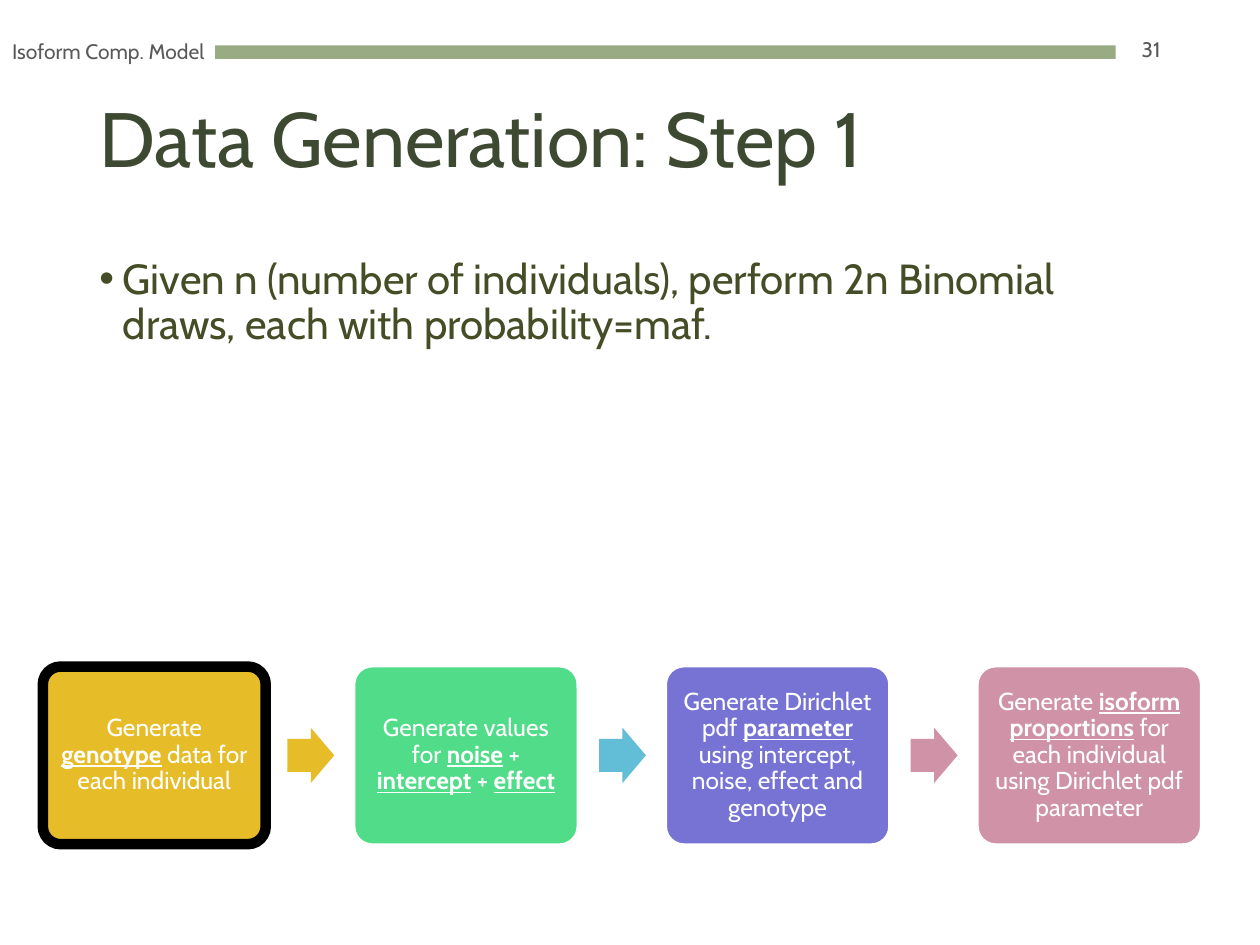
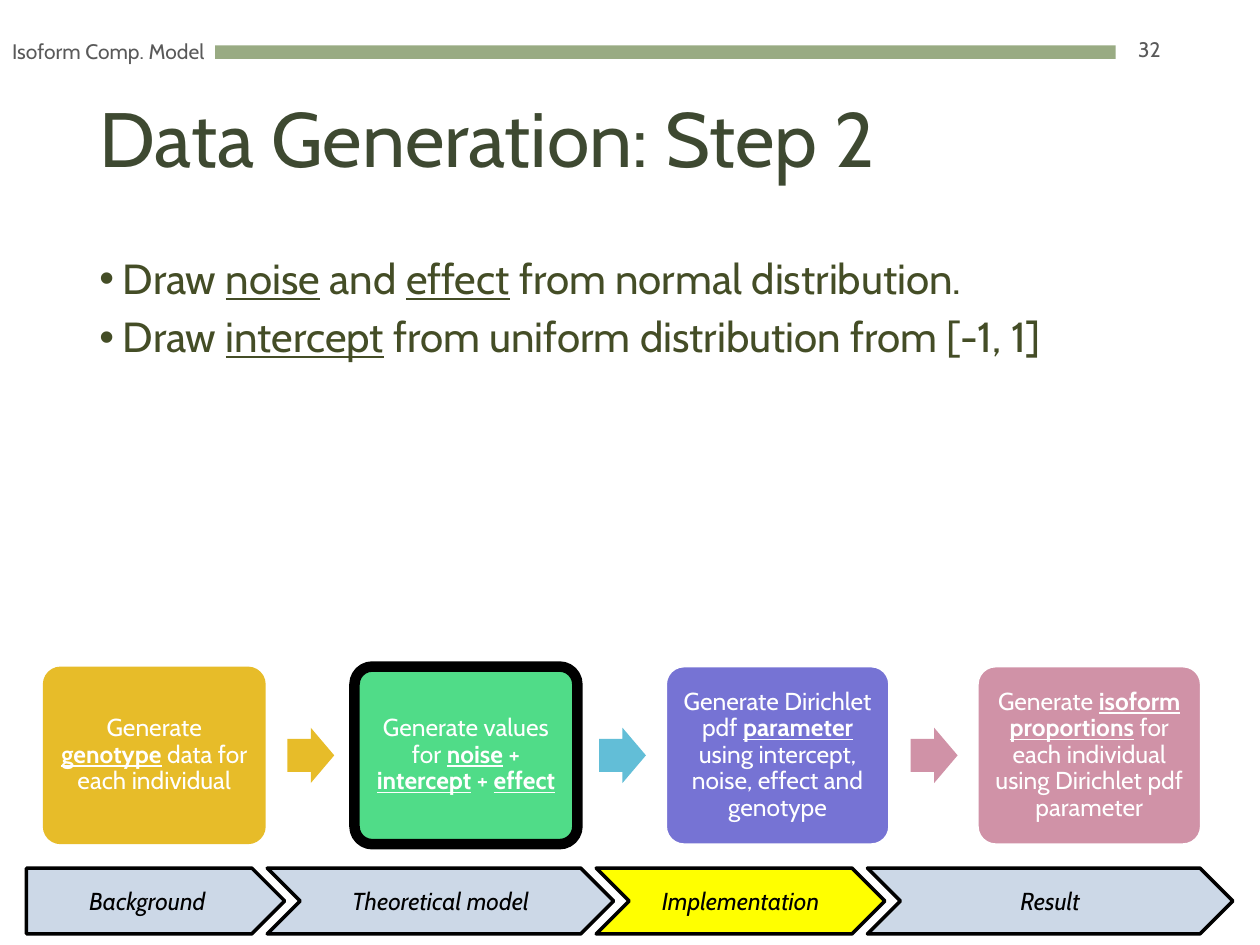
from dataclasses import dataclass
from typing import Optional

from lxml import etree
from pptx import Presentation
from pptx.dml.color import RGBColor
from pptx.enum.shapes import MSO_SHAPE
from pptx.enum.text import MSO_ANCHOR, MSO_AUTO_SIZE, PP_ALIGN
from pptx.oxml.ns import qn
from pptx.util import Pt

FONT = "Cabin"
COLORS = {
    "title": "3E4931",
    "body": "444D26",
    "muted": "595959",
    "band": "99AB83",
    "white": "FFFFFF",
    "black": "000000",
    "gold": "E7BC29",
    "green": "50DC88",
    "blue": "62BED7",
    "violet": "7673D4",
    "rose": "D092A7",
    "stage": "CCD8E7",
    "active": "FFFF00",
}

STEP_LEFT, STEP_TOP, STEP_PITCH = 24.5, 380.9, 178.1
STEP_WIDTH, STEP_HEIGHT = 127.4, 101.5
ARROW_OFFSET, ARROW_WIDTH, ARROW_HEIGHT = 139.7, 26.8, 31.6
STAGE_LEFT, STAGE_TOP, STAGE_HEIGHT, STAGE_OVERLAP = 15.1, 496.1, 37.6, 10


@dataclass(frozen=True)
class Step:
    text: str
    fill: str
    arrow: Optional[str]


@dataclass(frozen=True)
class Stage:
    text: str
    width: float


@dataclass(frozen=True)
class Content:
    number: int
    title: str
    bullets: tuple[str, ...]
    current_step: int
    current_stage: Optional[int] = None


STEPS = (
    Step("Generate *genotype* data for each individual", "gold", "gold"),
    Step("Generate values for *noise* + *intercept* + *effect*", "green", "blue"),
    Step("Generate Dirichlet pdf *parameter* using intercept, noise, effect and genotype",
         "violet", "rose"),
    Step("Generate *isoform* *proportions* for each individual using Dirichlet pdf parameter",
         "rose", None),
)

STAGES = (
    Stage("Background", 147.6),
    Stage("Theoretical model", 198),
    Stage("Implementation", 165),
    Stage("Result", 208.8),
)

SLIDES = (
    Content(31, "Data Generation: Step 1",
            ("Given n (number of individuals), perform 2n Binomial draws, "
             "each with probability=maf.",), 0),
    Content(32, "Data Generation: Step 2",
            ("Draw *noise* and *effect* from normal distribution.",
             "Draw *intercept* from uniform distribution from [-1, 1]"), 1, 2),
)


def rgb(name: str) -> RGBColor:
    return RGBColor.from_string(COLORS[name])


def write(shape, *paragraphs: str, size: float, color: str, align=PP_ALIGN.LEFT,
          anchor=MSO_ANCHOR.MIDDLE, spacing: float = 1, before: float = 0,
          italic: bool = False, strong: bool = False, bullet: bool = False,
          inset: Optional[float] = None) -> None:
    frame = shape.text_frame
    frame.word_wrap = True
    frame.auto_size = MSO_AUTO_SIZE.NONE
    frame.vertical_anchor = anchor
    if inset is not None:
        frame.margin_left = frame.margin_right = Pt(inset)
        frame.margin_top = frame.margin_bottom = Pt(inset)
    for index, text in enumerate(paragraphs):
        paragraph = frame.add_paragraph() if index else frame.paragraphs[0]
        paragraph.alignment = align
        paragraph.line_spacing = spacing
        paragraph.space_before = Pt(before)
        if bullet:
            add_bullet(paragraph)
        for part, piece in enumerate(text.split("*")):
            if not piece:
                continue
            run = paragraph.add_run()
            run.text = piece
            font = run.font
            font.name, font.size, font.italic = FONT, Pt(size), italic
            font.color.rgb = rgb(color)
            emphasized = part % 2 == 1
            font.underline = emphasized
            font.bold = emphasized and strong


def add_bullet(paragraph) -> None:
    properties = paragraph._p.get_or_add_pPr()
    properties.set("marL", str(Pt(13.5)))
    properties.set("indent", str(-Pt(13.5)))
    etree.SubElement(properties, qn("a:buFont")).set("typeface", "Arial")
    etree.SubElement(properties, qn("a:buChar")).set("char", "•")


def add_box(slide, left: float, top: float, width: float, height: float):
    return slide.shapes.add_textbox(Pt(left), Pt(top), Pt(width), Pt(height))


def add_figure(slide, kind, left: float, top: float, width: float, height: float,
               fill: str, outline: Optional[str] = None, weight: float = 1):
    figure = slide.shapes.add_shape(kind, Pt(left), Pt(top), Pt(width), Pt(height))
    figure.shadow.inherit = False
    figure.fill.solid()
    figure.fill.fore_color.rgb = rgb(fill)
    if outline:
        figure.line.color.rgb = rgb(outline)
        figure.line.width = Pt(weight)
    else:
        figure.line.fill.background()
    return figure


def draw_header(slide, content: Content) -> None:
    add_figure(slide, MSO_SHAPE.RECTANGLE, 123, 25.9, 514.6, 7.8, "band")
    title = slide.shapes.title
    title.left, title.top, title.width, title.height = Pt(49.7), Pt(29.5), Pt(620.6), Pt(104.4)
    write(title, content.title, size=44, color="title", spacing=0.9)
    write(add_box(slide, 637.2, 13.7, 33.1, 28.8), str(content.number),
          size=12, color="muted", align=PP_ALIGN.RIGHT)
    write(add_box(slide, -6.5, 15.1, 136.8, 28.8), "Isoform Comp. Model",
          size=12, color="muted", align=PP_ALIGN.CENTER)


def draw_steps(slide, current: int) -> None:
    for index, step in enumerate(STEPS):
        left = STEP_LEFT + index * STEP_PITCH
        if index == current:
            outline, weight = "black", 6
        else:
            outline, weight = (None if index < current else "white"), 1
        card = add_figure(slide, MSO_SHAPE.ROUNDED_RECTANGLE, left, STEP_TOP,
                          STEP_WIDTH, STEP_HEIGHT, step.fill, outline, weight)
        card.adjustments[0] = 0.1
        write(card, step.text, size=14, color="white", align=PP_ALIGN.CENTER,
              spacing=0.9, strong=True, inset=4.2)
        if step.arrow:
            arrow = add_figure(slide, MSO_SHAPE.RIGHT_ARROW, left + ARROW_OFFSET,
                               STEP_TOP + (STEP_HEIGHT - ARROW_HEIGHT) / 2,
                               ARROW_WIDTH, ARROW_HEIGHT, step.arrow)
            arrow.adjustments[0] = 0.6
            arrow.adjustments[1] = 0.5


def draw_stages(slide, current: int) -> None:
    left = STAGE_LEFT
    for index, stage in enumerate(STAGES):
        kind = MSO_SHAPE.CHEVRON if index else MSO_SHAPE.PENTAGON
        marker = add_figure(slide, kind, left, STAGE_TOP, stage.width, STAGE_HEIGHT,
                            "active" if index == current else "stage", "black", 2)
        write(marker, stage.text, size=14, color="black", align=PP_ALIGN.CENTER,
              italic=True, inset=0)
        left += stage.width - STAGE_OVERLAP


def build_slide(deck, content: Content) -> None:
    slide = deck.slides.add_slide(deck.slide_layouts[5])
    draw_header(slide, content)
    write(add_box(slide, 49.7, 144, 620.6, 230), *content.bullets, size=24, color="body",
          anchor=MSO_ANCHOR.TOP, spacing=0.9, before=7.5, bullet=True)
    if content.current_stage is not None:
        draw_stages(slide, content.current_stage)
    draw_steps(slide, content.current_step)


def main() -> None:
    deck = Presentation()
    deck.slide_width, deck.slide_height = Pt(720), Pt(540)
    for content in SLIDES:
        build_slide(deck, content)
    deck.save("out.pptx")


if __name__ == "__main__":
    main()
